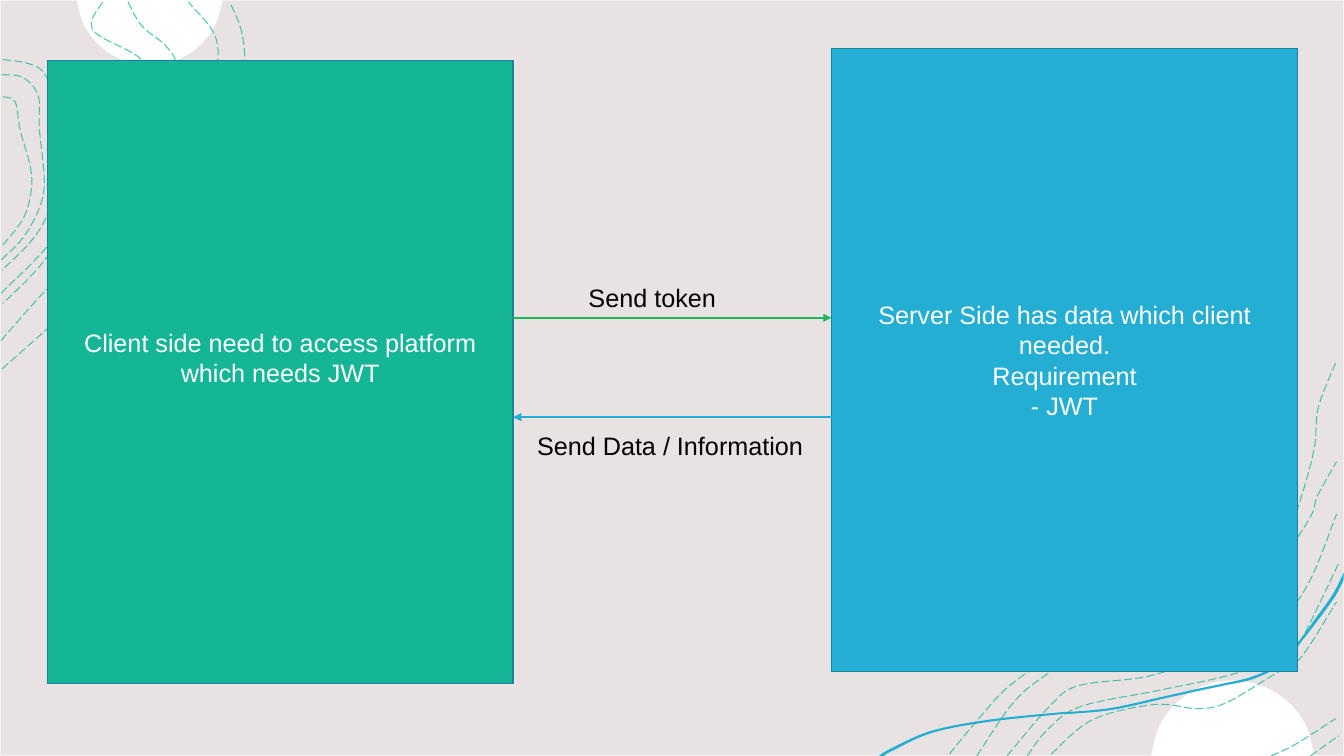
import math
from dataclasses import dataclass

from lxml import etree
from pptx import Presentation
from pptx.dml.color import RGBColor
from pptx.enum.dml import MSO_LINE
from pptx.enum.shapes import MSO_CONNECTOR, MSO_SHAPE
from pptx.enum.text import MSO_ANCHOR, MSO_AUTO_SIZE, PP_ALIGN
from pptx.oxml.ns import qn
from pptx.util import Pt

RECT, STRAIGHT = MSO_SHAPE.RECTANGLE, MSO_CONNECTOR.STRAIGHT
MIDDLE, CENTER, LEFT = MSO_ANCHOR.MIDDLE, PP_ALIGN.CENTER, PP_ALIGN.LEFT
FIT, LONG_DASH = MSO_AUTO_SIZE.SHAPE_TO_FIT_TEXT, MSO_LINE.LONG_DASH


@dataclass(frozen=True)
class Theme:
    paper: str = "E8E3E2"
    paper_edge: str = "F2F2F2"
    white: str = "FFFFFF"
    black: str = "000000"
    teal: str = "14B695"
    blue: str = "25AED3"
    box_edge: str = "1B819C"
    green: str = "21B85A"
    font: str = "Arial"
    size: float = 18


THEME = Theme()
WIDTH, HEIGHT = 960, 540
UNIT = 0.72  # points in one step of the curve grids below
SLIDE = (0, 0, WIDTH, HEIGHT)

# Anchor points of the contour lines, as "x,y" grid steps from the box corner
TOP_CONTOURS = [
    "2,366 55,319 86,290 127,269 160,223 181,171 219,120 241,71 240,33 228,2",
    "1,338 38,296 73,260 108,219 137,168 183,122 212,77 214,37 187,2",
    "127,2 141,26 165,46 174,67 155,108 116,128 95,152 78,208 42,261 3,301",
    "1,291 56,232 78,165 92,115 101,106 124,103 140,98 151,81 138,57 98,35 91,21 102,2",
    "3,59 28,63 44,73 55,104 56,168 48,210 31,239 2,268",
    "2,74 23,77 38,95 39,126 44,181 38,209 22,237 1,258",
    "3,96 15,101 20,129 30,165 31,189 23,217 3,243",
]
BOTTOM_CONTOURS = [
    "942,748 971,713 1002,680 1056,643 1098,625 1137,629 1173,606 1224,585 1249,554 1279,522 "
    "1291,493 1304,444 1308,404 1326,358",
    "969,750 1008,694 1049,662 1081,642 1103,638 1145,641 1195,610 1233,592 1276,548 1301,511 "
    "1307,492 1326,458",
    "1300,750 1328,730",
    "1261,750 1286,738 1325,713",
    "1043,748 1084,714 1145,699 1188,703 1217,697 1264,669 1290,653 1326,597",
    "1019,750 1039,724 1072,701 1149,685 1215,671 1271,653 1288,640 1328,559",
    "999,750 1042,700 1071,680 1143,670 1216,643 1268,617 1299,577 1326,510",
]
# Both edges of the blue ribbon; a doubled point makes a corner
RIBBON = ("1333,575 1325,591 1307,616 1293,634 1273,658 1245,673 1215,680 1191,685 1155,693 "
          "1105,704 1065,708 1048,709 982,716 925,727 885,745 877,750 877,750 "
          "872,750 872,750 883,743 924,725 981,714 1048,707 1065,706 1104,702 1154,691 "
          "1190,683 1214,678 1243,671 1271,657 1291,633 1304,615 1322,590 1333,568")


def rgb(color):
    return RGBColor.from_string(color)


def grid_points(anchors):
    return [tuple(float(v) * UNIT for v in a.split(",")) for a in anchors.split()]


def paint(sp, fill=None, line=None, width=1):
    sp.shadow.inherit = False
    if fill:
        sp.fill.solid()
        sp.fill.fore_color.rgb = rgb(fill)
    else:
        sp.fill.background()
    if line:
        sp.line.color.rgb = rgb(line)
        sp.line.width = Pt(width)
    else:
        sp.line.fill.background()


def bend(sp):
    """Turn the straight segments of a freeform into one smooth curve."""
    outline = sp._element.spPr.find(".//" + qn("a:path"))
    pts = [(int(pt.get("x")), int(pt.get("y"))) for pt in outline.iter(qn("a:pt"))]
    padded = [pts[0], *pts, pts[-1]]
    segments = outline.findall(qn("a:lnTo"))
    for old, a, b, c, d in zip(segments, padded, padded[1:], padded[2:], padded[3:]):
        curve = etree.Element(qn("a:cubicBezTo"))
        first = [q + (r - p) / 6 for p, q, r in zip(a, b, c)]
        second = [r - (s - q) / 6 for q, r, s in zip(b, c, d)]
        for x, y in (first, second, c):
            etree.SubElement(curve, qn("a:pt"), x=str(round(x)), y=str(round(y)))
        outline.replace(old, curve)


def add_curve(shapes, box, points, close):
    pts = [(Pt(box[0] + x), Pt(box[1] + y)) for x, y in points]
    builder = shapes.build_freeform(*pts[0], scale=1.0)
    builder.add_line_segments(pts[1:], close=close)
    sp = builder.convert_to_shape()
    bend(sp)
    return sp


def add_contours(shapes, box, contours):
    group = shapes.add_group_shape()
    for anchors in contours:
        sp = add_curve(group.shapes, box, grid_points(anchors), close=False)
        paint(sp, line=THEME.teal, width=0.75)
        sp.line.dash_style = LONG_DASH
        color = sp.line._get_or_add_ln().find(".//" + qn("a:srgbClr"))
        etree.SubElement(color, qn("a:alpha"), val="75000")


def add_disc_cap(shapes, box, on_top):
    """Part of a disc that enters from the top or bottom edge of the slide."""
    width, height = box[2:]
    radius = (width ** 2 / 4 + height ** 2) / (2 * height)
    half = math.acos(1 - height / radius)
    points = []
    for i in range(-4, 5):
        angle = half * i / 4
        rise = radius * math.cos(angle) - radius + height
        points.append((width / 2 + radius * math.sin(angle), rise if on_top else height - rise))
    paint(add_curve(shapes, box, points, close=True), THEME.white)


def add_text(tf, lines, color, align):
    for i, line in enumerate(lines):
        p = tf.paragraphs[0] if i == 0 else tf.add_paragraph()
        p.alignment = align
        r = p.add_run()
        r.text = line
        r.font.name, r.font.size = THEME.font, Pt(THEME.size)
        r.font.color.rgb = rgb(color)


def add_backdrop(shapes, box):
    paint(shapes.add_shape(RECT, *map(Pt, box)), THEME.paper, THEME.paper_edge)
    add_disc_cap(shapes, (54.72, 0, 104.4, 46.6), on_top=True)
    add_disc_cap(shapes, (822.24, 486, 116.64, 54), on_top=False)
    paint(add_curve(shapes, box, grid_points(RIBBON), close=True), THEME.blue)
    add_contours(shapes, box, TOP_CONTOURS)
    add_contours(shapes, box, BOTTOM_CONTOURS)


def add_party(shapes, box, fill, lines, bottom_inset=3.6):
    sp = shapes.add_shape(RECT, *map(Pt, box))
    paint(sp, fill, THEME.box_edge)
    tf = sp.text_frame
    tf.word_wrap, tf.vertical_anchor = True, MIDDLE
    tf.margin_bottom = Pt(bottom_inset)
    add_text(tf, lines, THEME.white, CENTER)


def add_message(shapes, start, end, y, color, label, label_box):
    line = shapes.add_connector(STRAIGHT, Pt(start), Pt(y), Pt(end), Pt(y))
    line.line.color.rgb, line.line.width = rgb(color), Pt(1.5)
    etree.SubElement(line.line._get_or_add_ln(), qn("a:tailEnd"), type="triangle")
    etree.SubElement(line._element.spPr, qn("a:effectLst"))
    tf = shapes.add_textbox(*map(Pt, label_box)).text_frame
    tf.word_wrap, tf.auto_size = False, FIT
    add_text(tf, [label], THEME.black, LEFT)


def add_token_exchange(shapes):
    width, height = 332.75, 445
    client, server = (33.75, 43.25, width, height), (594, 34.5, width, height)
    near, far = client[0] + width, server[0]
    add_party(shapes, client, THEME.teal,
              ["Client side need to access platform which needs JWT"], bottom_inset=24.5)
    add_party(shapes, server, THEME.blue,
              ["Server Side has data which client needed.", "Requirement", "- JWT"])
    add_message(shapes, near, far, 227, THEME.green, "Send token", (413.25, 198, 106.5, 29))
    add_message(shapes, far, near, 298, THEME.blue, "Send Data / Information",
                (376.5, 304, 206.5, 29))


def main():
    prs = Presentation()
    prs.slide_width, prs.slide_height = Pt(WIDTH), Pt(HEIGHT)
    slide = prs.slides.add_slide(prs.slide_layouts[6])
    add_backdrop(slide.shapes, SLIDE)
    add_token_exchange(slide.shapes)
    prs.save("out.pptx")


if __name__ == "__main__":
    main()
